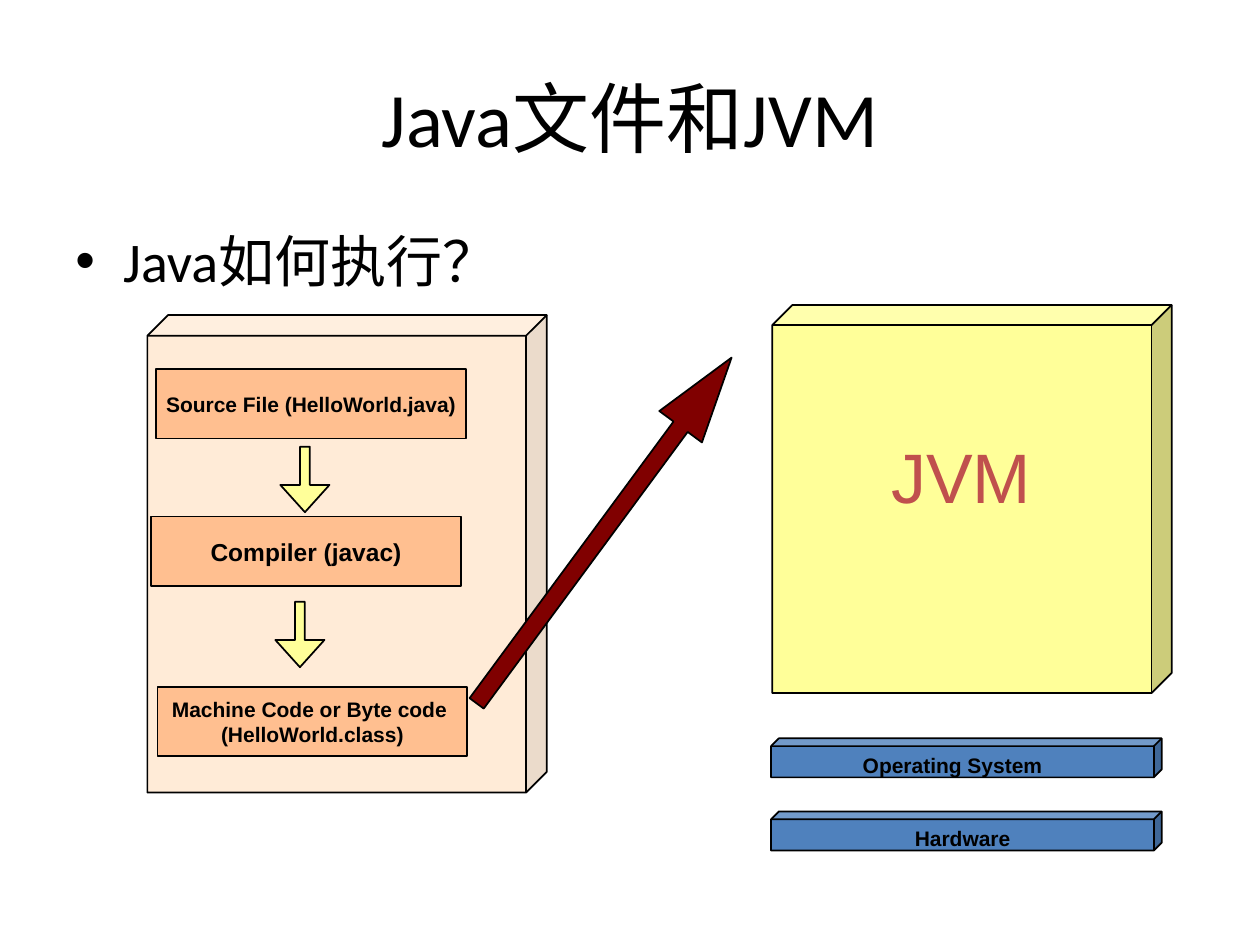
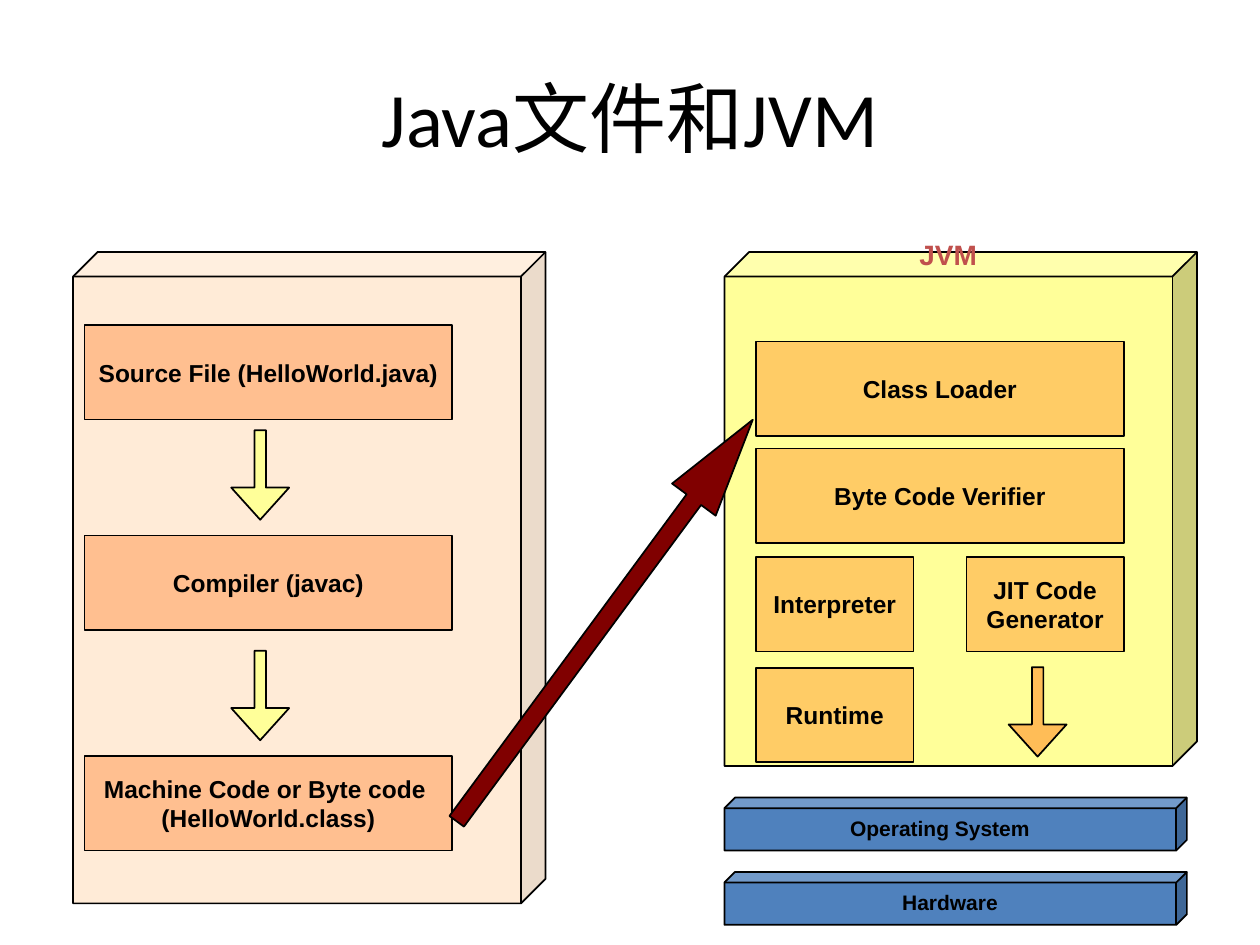
from lxml.etree import SubElement
from pptx import Presentation
from pptx.dml.color import RGBColor
from pptx.enum.shapes import MSO_SHAPE as Preset
from pptx.enum.text import MSO_ANCHOR as Anchor, PP_ALIGN as Align
from pptx.oxml.ns import qn
from pptx.util import Inches, Pt

COLORS = {
    "text": "000000",
    "outline": "000000",
    "compile_panel": "FFCC99",
    "step": "FF6600",
    "jvm_panel": "FFFF99",
    "down_arrow": "FFFF99",
    "jvm_label": "C0504D",
    "load_arrow": "800000",
    "platform": "4F81BD",
}
TITLE = "Java文件和JVM"
SOURCE = "Source File (HelloWorld.java)"
COMPILER = "Compiler (javac)"
BYTECODE = "Machine Code or Byte code \v(HelloWorld.class)"
PANEL_DEPTH = 0.052
BAR_DEPTH = 0.2


def rgb(name):
    return RGBColor.from_string(COLORS[name])


def write(frame, text, size, color="text", font="Arial", bold=True,
          align=Align.CENTER, anchor=Anchor.MIDDLE, wrap=True):
    frame.word_wrap = wrap
    frame.vertical_anchor = anchor
    line = frame.paragraphs[0]
    line.text = text
    line.alignment = align
    line.font.name = font
    line.font.size = Pt(size)
    line.font.bold = bold
    line.font.color.rgb = rgb(color)
    return line


def add_text(slide, box, text, size, **style):
    label = slide.shapes.add_textbox(*map(Inches, box))
    return write(label.text_frame, text, size, **style)


def add_solid(slide, preset, box, color, adjust=(), opacity=None, rotation=0):
    solid = slide.shapes.add_shape(preset, *map(Inches, box))
    solid.shadow.inherit = False
    solid.rotation = rotation
    for index, value in enumerate(adjust):
        solid.adjustments[index] = value
    solid.fill.solid()
    solid.fill.fore_color.rgb = rgb(color)
    if opacity:
        fill_color = solid._element.spPr.find(qn("a:solidFill"))[0]
        SubElement(fill_color, qn("a:alpha")).set("val", str(opacity * 1000))
    solid.line.color.rgb = rgb("outline")
    solid.line.width = Pt(1)
    return solid


def add_title(slide):
    add_text(slide, (0.5, 0.3, 9, 1.25), TITLE, 44, font="Calibri", bold=False)


def add_question(slide, text):
    question = add_text(slide, (0.5, 1.75, 9, 0.67), text, 32, font="Calibri",
                        bold=False, align=Align.LEFT, anchor=Anchor.TOP)
    props = question._p.get_or_add_pPr()
    props.set("marL", str(Inches(0.38)))
    props.set("indent", str(Inches(-0.38)))
    SubElement(props, qn("a:buFont")).set("typeface", "Arial")
    SubElement(props, qn("a:buChar")).set("char", "•")
    props.append(props.find(qn("a:defRPr")))


def add_panel(slide, box, color, opacity=None):
    add_solid(slide, Preset.CUBE, box, color, [PANEL_DEPTH], opacity)


def add_step(slide, box, text, size=14):
    step = add_solid(slide, Preset.RECTANGLE, box, "step", opacity=33)
    write(step.text_frame, text, size, wrap=False)


def add_down_arrow(slide, box, color="down_arrow", opacity=None):
    add_solid(slide, Preset.RIGHT_ARROW, box, color, [0.198, 0.554], opacity, 90)


def add_load_arrow(slide, box, head):
    add_solid(slide, Preset.RIGHT_ARROW, box, "load_arrow", [0.331, head],
              rotation=306.4)


def add_platform(slide, bar, label, pitch):
    for row, text in enumerate(("Operating System", "Hardware")):
        drop = row * pitch
        left, top, width, height = bar
        add_solid(slide, Preset.CUBE, (left, top + drop, width, height),
                  "platform", [BAR_DEPTH])
        left, top, width, height = label
        add_text(slide, (left + row * 0.08, top + drop, width, height), text, 12)


def build_overview(slide):
    add_title(slide)
    add_question(slide, "Java如何执行？")
    add_panel(slide, (1.17, 2.5, 3.17, 3.79), "compile_panel", 39)
    for left, top, text, size in ((1.24, 2.93, SOURCE, 12),
                                  (1.2, 4.1, COMPILER, 14),
                                  (1.25, 5.45, BYTECODE, 12)):
        add_step(slide, (left, top, 2.46, 0.55), text, size)
    for left, top in ((2.16, 3.61), (2.12, 4.84)):
        add_down_arrow(slide, (left, top, 0.52, 0.39))
    add_panel(slide, (6.13, 2.42, 3.17, 3.08), "jvm_panel")
    add_text(slide, (6.13, 3.4, 3, 0.75), "JVM", 40, color="jvm_label", bold=False)
    add_load_arrow(slide, (3.09, 4, 3.41, 0.42), 1.623)
    add_platform(slide, (6.12, 5.86, 3.1, 0.31), (6.47, 5.92, 2.18, 0.3), 0.58)


def build_detail(slide):
    add_title(slide)
    add_panel(slide, (0.58, 2, 3.75, 5.17), "compile_panel", 39)
    for top, text in ((2.58, SOURCE), (4.25, COMPILER), (6, BYTECODE)):
        add_step(slide, (0.67, top, 2.92, 0.75), text)
    for top in (3.54, 5.29):
        add_down_arrow(slide, (1.71, top, 0.71, 0.46))
    add_panel(slide, (5.75, 2, 3.75, 4.08), "jvm_panel")
    add_text(slide, (5.75, 1.84, 3.55, 0.36), "JVM", 16, color="jvm_label")
    for left, top, width, text in ((6, 2.71, 2.92, "Class Loader"),
                                   (6, 3.56, 2.92, "Byte Code Verifier"),
                                   (6, 4.42, 1.25, "Interpreter"),
                                   (7.67, 4.42, 1.25, "JIT Code\vGenerator"),
                                   (6, 5.3, 1.25, "Runtime")):
        add_step(slide, (left, top, width, 0.75), text)
    add_down_arrow(slide, (7.88, 5.42, 0.71, 0.46), "step", 43)
    add_load_arrow(slide, (2.82, 4.71, 3.96, 0.43), 1.832)
    add_platform(slide, (5.75, 6.33, 3.67, 0.42), (6.17, 6.42, 2.58, 0.3), 0.59)


def main():
    deck = Presentation()
    deck.slide_width = Inches(10)
    deck.slide_height = Inches(7.5)
    blank = deck.slide_layouts[6]
    for build in (build_overview, build_detail):
        build(deck.slides.add_slide(blank))
    deck.save("out.pptx")


main()
